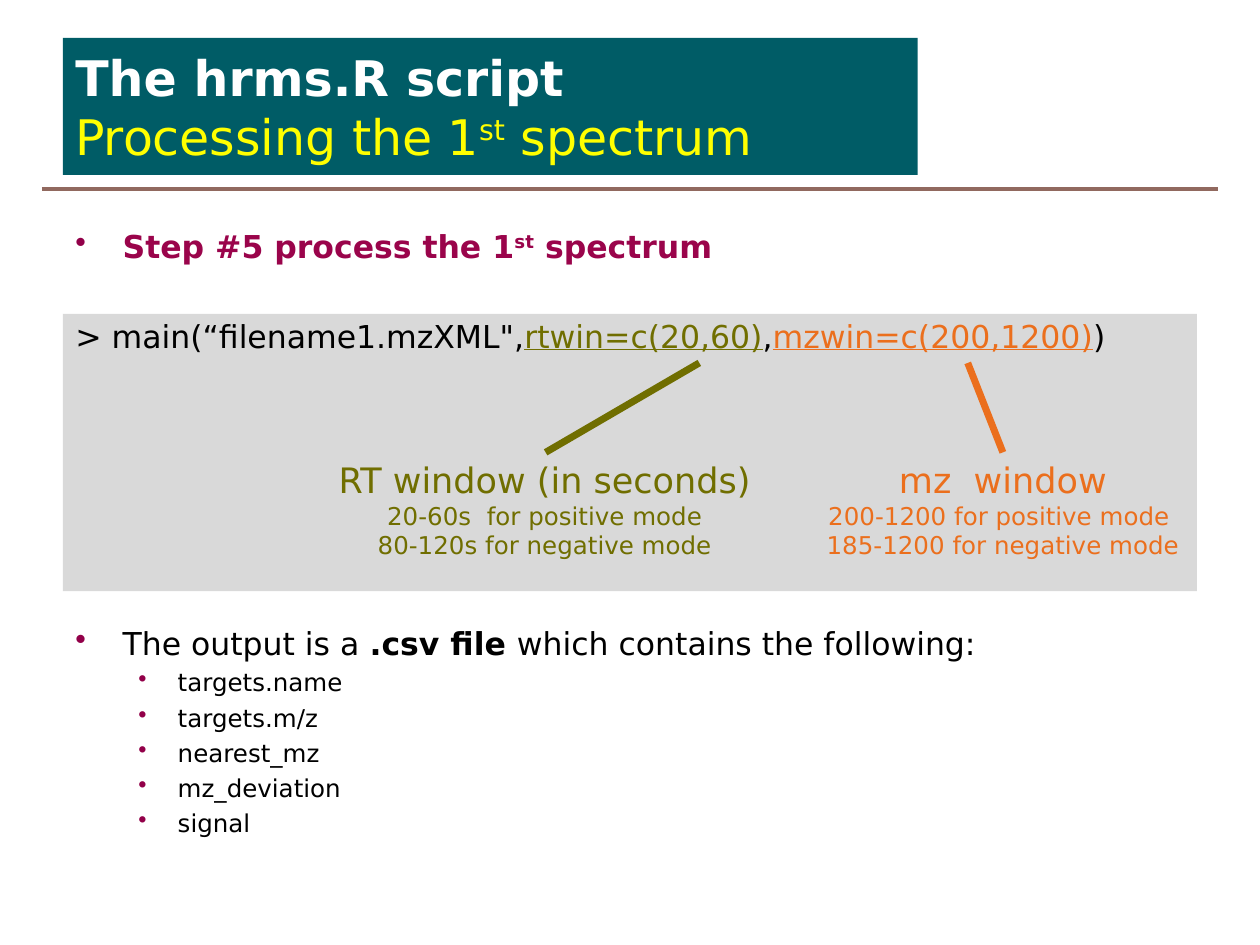
from lxml import etree
from pptx import Presentation
from pptx.dml.color import RGBColor
from pptx.enum.shapes import MSO_CONNECTOR, MSO_SHAPE
from pptx.enum.text import MSO_ANCHOR, PP_ALIGN
from pptx.oxml.ns import qn
from pptx.util import Pt

RECT = MSO_SHAPE.RECTANGLE
STRAIGHT = MSO_CONNECTOR.STRAIGHT
TOP, MIDDLE = MSO_ANCHOR.TOP, MSO_ANCHOR.MIDDLE
LEFT, CENTER = PP_ALIGN.LEFT, PP_ALIGN.CENTER

FONT = "DejaVu Sans"
BLACK, WHITE, YELLOW = "000000", "FFFFFF", "FFFF00"
TEAL, GREY, BROWN = "005C66", "D9D9D9", "91695F"
PLUM, BULLET, OLIVE, ORANGE = "9A044B", "920049", "706E00", "EB6F1D"

rgb = RGBColor.from_string


def add_par(tf, runs, size, color=BLACK, bold=False, align=LEFT, bullet=None):
    """Add a paragraph; runs are (text, style) pairs, bullet is (margin, hang)."""
    p = tf.paragraphs[0]
    if p.runs:
        p = tf.add_paragraph()
    p.alignment = align
    p.font.name, p.font.size, p.font.bold = FONT, Pt(size), bold
    p.font.color.rgb = rgb(color)
    for text, style in runs:
        r = p.add_run()
        r.text = text
        if style == "super":
            r._r.get_or_add_rPr().set("baseline", "30000")
        elif style == "bold":
            r.font.bold = True
        elif style:  # a colour marks an underlined argument
            r.font.underline = True
            r.font.color.rgb = rgb(style)
    if bullet:
        margin, hang = bullet
        pPr = p._p.get_or_add_pPr()
        pPr.set("marL", str(Pt(margin)))
        pPr.set("indent", str(-Pt(hang)))
        clr = etree.Element(qn("a:buClr"))
        etree.SubElement(clr, qn("a:srgbClr"), val=BULLET)
        char = etree.Element(qn("a:buChar"), char="•")
        pPr.insert(0, clr)
        pPr.insert(1, char)
    return p


def add_line(s, x1, y1, x2, y2, color, width):
    line = s.shapes.add_connector(STRAIGHT, Pt(x1), Pt(y1), Pt(x2), Pt(y2))
    line.line.color.rgb = rgb(color)
    line.line.width = Pt(width)
    etree.SubElement(line._element.spPr, qn("a:effectLst"))


prs = Presentation()
prs.slide_width, prs.slide_height = Pt(720), Pt(540)
s = prs.slides.add_slide(prs.slide_layouts[6])

# Rule under the title
add_line(s, 24, 108, 696, 108, BROWN, 1.75)

# Title band and code panel
panels = []
for x, y, w, h, fill, anchor in [
    (36, 21.6, 488.4, 78.4, TEAL, MIDDLE),
    (36, 179.4, 648, 158.4, GREY, TOP),
]:
    sp = s.shapes.add_shape(RECT, Pt(x), Pt(y), Pt(w), Pt(h))
    sp.shadow.inherit = False
    sp.fill.solid()
    sp.fill.fore_color.rgb = rgb(fill)
    sp.line.fill.background()
    sp.text_frame.vertical_anchor = anchor
    panels.append(sp.text_frame)
title, code = panels

add_par(title, [("The hrms.R script", None)], 28, WHITE, bold=True)
add_par(title, [("Processing the 1", None), ("st", "super"),
                (" spectrum", None)], 28, YELLOW)

code.margin_top = Pt(1.6)
add_par(code, [("> main(“filename1.mzXML\",", None), ("rtwin=c(20,60)", OLIVE),
               (",", None), ("mzwin=c(200,1200)", ORANGE), (")", None)], 18)

# Text boxes: step heading, output list, two window labels
boxes = []
for x, y, w, h in [(36, 126, 648, 32), (36, 353, 648, 130),
                   (161.3, 258.5, 300, 90), (462.2, 258.5, 221.8, 90)]:
    tf = s.shapes.add_textbox(Pt(x), Pt(y), Pt(w), Pt(h)).text_frame
    tf.word_wrap = True
    boxes.append(tf)
step, output, rt, mz = boxes

add_par(step, [("Step #5 process the 1", None), ("st", "super"),
               (" spectrum", None)], 18, PLUM, bold=True, bullet=(27, 27))

add_par(output, [("The output is a ", None), (".csv file ", "bold"),
                 ("which contains the following:", None)], 18, bullet=(27, 27))
for name in ["targets.name", "targets.m/z", "nearest_mz", "mz_deviation", "signal"]:
    p = add_par(output, [(name, None)], 14, bullet=(58.5, 22.5))
    p.level = 1
    p.space_before = Pt(3.3)

# Window labels, each with a line up to its argument
for tf, color, heading, modes, x1, x2 in [
    (rt, OLIVE, "RT window (in seconds)",
     ["20-60s  for positive mode", "80-120s for negative mode"], 311.8, 399.6),
    (mz, ORANGE, "mz  window",
     ["200-1200 for positive mode ", "185-1200 for negative mode"], 573.1, 553),
]:
    add_par(tf, [(heading, None)], 20, color, align=CENTER)
    for mode in modes:
        add_par(tf, [(mode, None)], 14, color, align=CENTER)
    add_line(s, x1, 258.5, x2, 207.4, color, 4)

prs.save("out.pptx")
